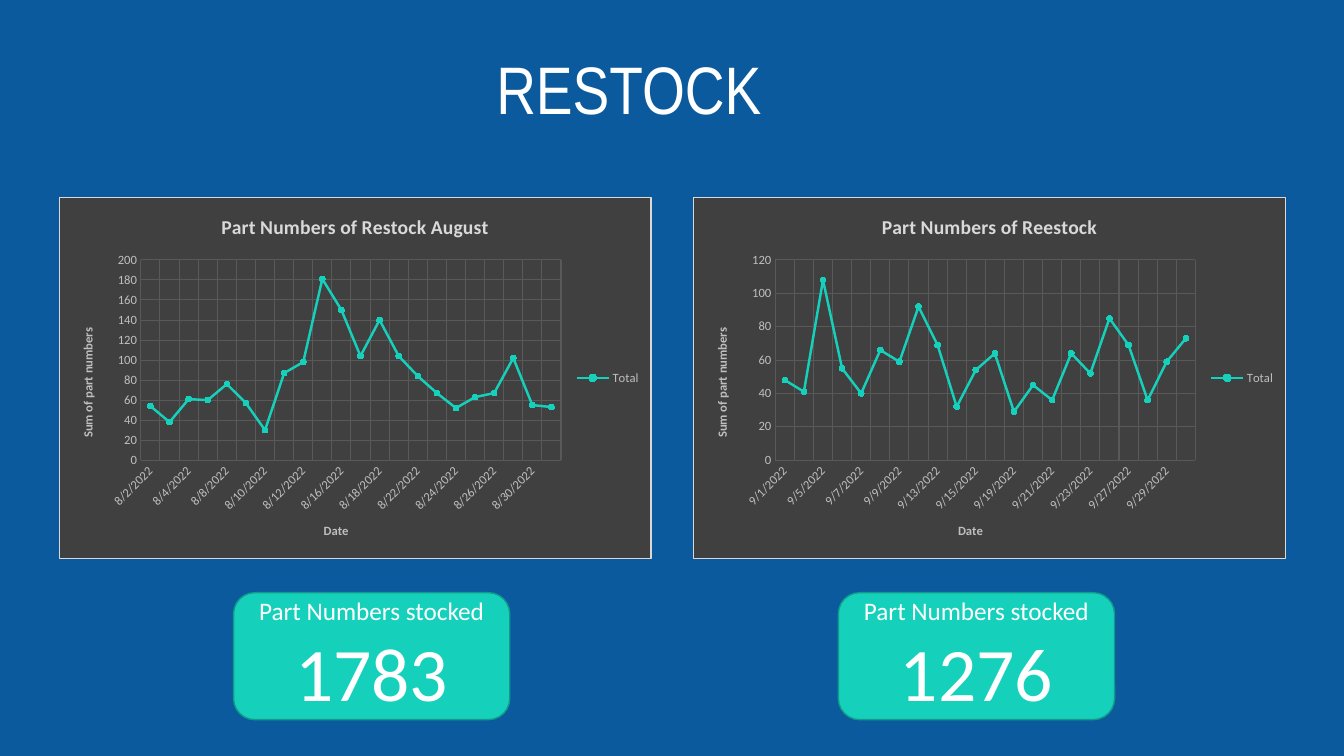
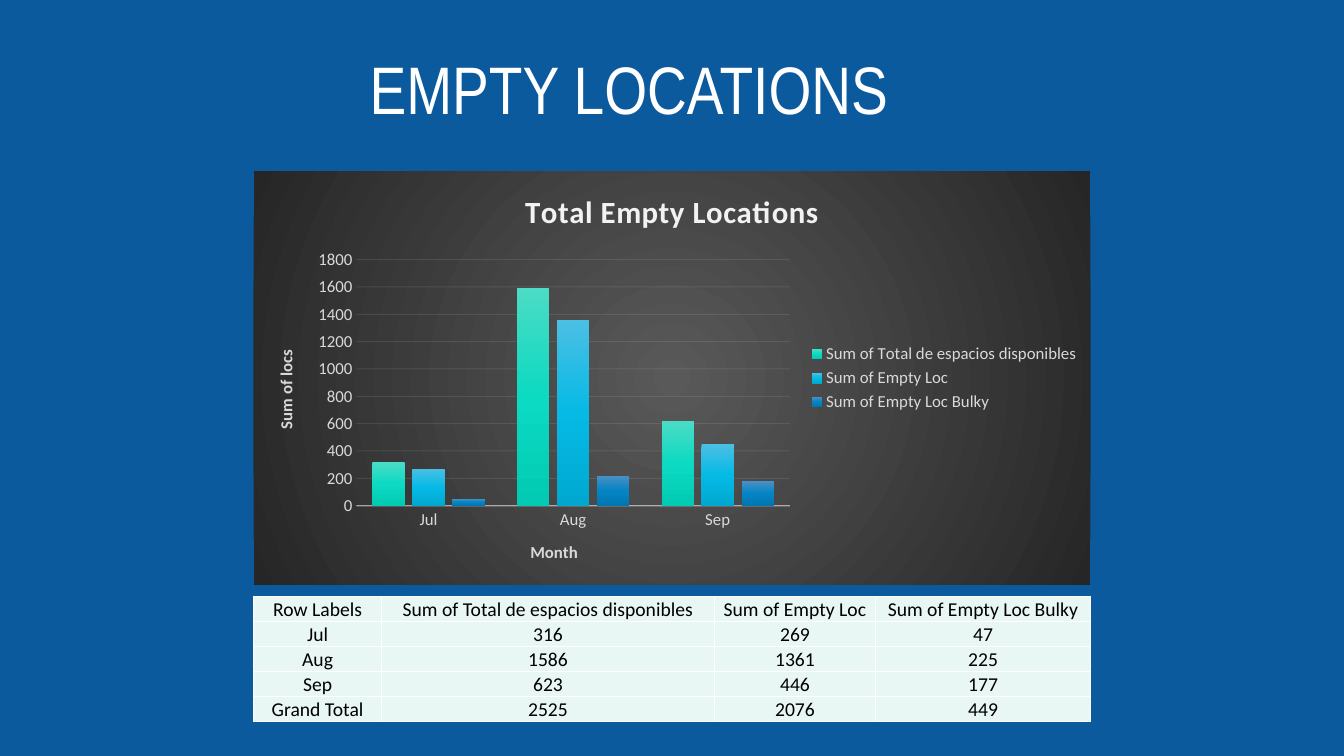
"""Build the restock and empty locations slides."""
from dataclasses import dataclass

from lxml.etree import SubElement
from pptx import Presentation
from pptx.chart.data import CategoryChartData
from pptx.dml.color import RGBColor
from pptx.enum.chart import XL_CHART_TYPE, XL_LEGEND_POSITION, XL_MARKER_STYLE, XL_TICK_MARK
from pptx.enum.shapes import MSO_SHAPE
from pptx.enum.text import MSO_ANCHOR, PP_ALIGN
from pptx.oxml import parse_xml
from pptx.oxml.ns import nsdecls, qn
from pptx.util import Inches, Pt


@dataclass(frozen=True)
class Theme:
    background: str = "0C5A9E"
    white: str = "FFFFFF"
    black: str = "000000"
    accent: str = "15D1BB"
    accent_edge: str = "109B8A"
    panel: str = "404040"
    panel_edge: str = "D9D9D9"
    panel_grid: str = "595959"
    muted: str = "BFBFBF"
    soft: str = "D9D9D9"
    bright: str = "F2F2F2"
    cell: str = "E8F7F3"
    panel_gradient: tuple = ("595959", "262626")
    column_gradients: tuple = (
        ("4CDBC5", "0CDAC2", "02CAB3"),
        ("4CBFE4", "05BAE5", "00A8D0"),
        ("4B90C6", "0484C4", "0076B2"),
    )
    title_font: str = "Arial Narrow"
    body_font: str = "Calibri"
    title_size: int = 48
    figure_size: int = 54
    caption_size: int = 18
    table_size: int = 14
    line_chart_title_size: int = 14
    line_chart_size: int = 9
    column_chart_title_size: int = 22
    column_chart_size: int = 12


THEME = Theme()
SLIDE_WIDTH, SLIDE_HEIGHT = Inches(13.33), Inches(7.5)

AUGUST_DAYS = (2, 3, 4, 5, 8, 9, 10, 11, 12, 15, 16, 17, 18, 19, 22, 23, 24, 25, 26, 29, 30, 31)
AUGUST_PARTS = (54, 38, 61, 60, 76, 57, 30, 87, 98, 181, 150,
                104, 140, 104, 84, 67, 52, 63, 67, 102, 55, 53)
SEPTEMBER_DAYS = (1, 2, 5, 6, 7, 8, 9, 12, 13, 14, 15, 17, 19, 20, 21, 22, 23, 26, 27, 28, 29, 30)
SEPTEMBER_PARTS = (48, 41, 108, 55, 40, 66, 59, 92, 69, 32, 54,
                   64, 29, 45, 36, 64, 52, 85, 69, 36, 59, 73)
RESTOCK_MONTHS = (
    ("Part Numbers of Restock August", 8, AUGUST_DAYS, AUGUST_PARTS, 200, "1783"),
    ("Part Numbers of Reestock", 9, SEPTEMBER_DAYS, SEPTEMBER_PARTS, 120, "1276"),
)
LOCATION_ROWS = (
    ("Row Labels", "Sum of Total de espacios disponibles", "Sum of Empty Loc",
     "Sum of Empty Loc Bulky"),
    ("Jul", 316, 269, 47),
    ("Aug", 1586, 1361, 225),
    ("Sep", 623, 446, 177),
    ("Grand Total", 2525, 2076, 449),
)
LOCATION_COLUMN_WIDTHS = (1.27, 3.3, 1.6, 2.13)


def area(left, top, width, height):
    """Turn percentages of the slide into a position and a size."""
    return (round(SLIDE_WIDTH * left / 100), round(SLIDE_HEIGHT * top / 100),
            round(SLIDE_WIDTH * width / 100), round(SLIDE_HEIGHT * height / 100))


def style_font(font, size, color, bold=False, name=THEME.body_font):
    """Set the face, size, weight and colour of a font."""
    font.name, font.size, font.bold = name, Pt(size), bold
    font.color.rgb = RGBColor.from_string(color)


def style_paragraph(paragraph, *font_style, **font_options):
    """Centre a paragraph and style its runs."""
    paragraph.alignment = PP_ALIGN.CENTER
    for run in paragraph.runs:
        style_font(run.font, *font_style, **font_options)


def style_line(line, color, width, opacity=100):
    """Set the colour, width and opacity of a line."""
    line.color.rgb = RGBColor.from_string(color)
    line.width = Pt(width)
    if opacity < 100:
        for color_element in line._ln.iter(qn("a:srgbClr")):
            SubElement(color_element, qn("a:alpha"), val=str(opacity * 1000))


def solid_fill(color):
    """Return a solid fill element."""
    return parse_xml(f'<a:solidFill {nsdecls("a")}><a:srgbClr val="{color}"/></a:solidFill>')


def gradient_fill(colors, radial=False):
    """Return a gradient fill element with evenly spaced stops."""
    step = 100000 // (len(colors) - 1)
    stops = "".join(f'<a:gs pos="{index * step}"><a:srgbClr val="{color}"/></a:gs>'
                    for index, color in enumerate(colors))
    shading = '<a:lin ang="5400000" scaled="0"/>'
    if radial:
        shading = ('<a:path path="circle"><a:fillToRect l="50000" t="50000" '
                   'r="50000" b="50000"/></a:path>')
    return parse_xml(f'<a:gradFill {nsdecls("a")}><a:gsLst>{stops}</a:gsLst>{shading}</a:gradFill>')


def outline(tag, color=None, width=1):
    """Return a line element, empty of paint when no colour is given."""
    element = parse_xml(f'<a:{tag} {nsdecls("a")} w="{Pt(width)}"/>')
    if color:
        element.append(solid_fill(color))
    else:
        SubElement(element, qn("a:noFill"))
    return element


def add_titled_slide(presentation, title):
    """Add a blank slide with its title."""
    slide = presentation.slides.add_slide(presentation.slide_layouts[6])
    text_frame = slide.shapes.add_textbox(*area(17.4, 4.8, 58.8, 12.9)).text_frame
    text_frame.word_wrap = True
    text_frame.vertical_anchor = MSO_ANCHOR.BOTTOM
    text_frame.margin_left = text_frame.margin_right = 0
    text_frame.text = title
    paragraph = text_frame.paragraphs[0]
    paragraph.line_spacing = 0.9
    style_paragraph(paragraph, THEME.title_size, THEME.white, name=THEME.title_font)
    return slide


def style_panel(chart, fill, line):
    """Paint the background of a chart."""
    properties = parse_xml(f'<c:spPr {nsdecls("c", "a")}/>')
    properties.extend((fill, line))
    chart._chartSpace.find(qn("c:chart")).addnext(properties)


def add_axis_title(axis, text, size, color):
    """Give an axis a bold title and plain labels of the same style."""
    axis.axis_title.text_frame.text = text
    style_paragraph(axis.axis_title.text_frame.paragraphs[0], size, color, bold=True)
    style_font(axis.tick_labels.font, size, color)
    axis.major_tick_mark = axis.minor_tick_mark = XL_TICK_MARK.NONE


def add_titled_chart(slide, position, chart_type, data, title, title_style, axis_titles,
                     label_style, value_limit, value_step):
    """Add a chart with a title, axis titles and a legend."""
    chart = slide.shapes.add_chart(chart_type, *position, data).chart
    style_font(chart.font, 10, THEME.black)
    chart.has_title = True
    chart.chart_title.text_frame.text = title
    chart.chart_title.include_in_layout = False
    style_paragraph(chart.chart_title.text_frame.paragraphs[0], *title_style, bold=True)
    chart.has_legend = True
    chart.legend.position = XL_LEGEND_POSITION.RIGHT
    chart.legend.include_in_layout = False
    style_font(chart.legend.font, *label_style)
    for axis, text in zip((chart.category_axis, chart.value_axis), axis_titles):
        add_axis_title(axis, text, *label_style)
    chart.value_axis.minimum_scale = 0
    chart.value_axis.maximum_scale = value_limit
    chart.value_axis.major_unit = value_step
    chart.value_axis.format.line.fill.background()
    chart.plots[0].vary_by_categories = False
    return chart


def add_restock_chart(slide, position, title, categories, values, value_limit):
    """Add a line chart of the parts restocked each day."""
    data = CategoryChartData()
    data.categories = categories
    data.add_series("Total", values)
    chart = add_titled_chart(
        slide, position, XL_CHART_TYPE.LINE_MARKERS, data, title,
        (THEME.line_chart_title_size, THEME.soft), ("Date", "Sum of part numbers"),
        (THEME.line_chart_size, THEME.muted), value_limit, 20)
    style_panel(chart, solid_fill(THEME.panel), outline("ln", THEME.panel_edge, 0.75))
    chart.category_axis.format.line.fill.background()
    chart.category_axis._element.txPr.bodyPr.set("rot", "-2700000")
    for axis in (chart.category_axis, chart.value_axis):
        axis.has_major_gridlines = True
        style_line(axis.major_gridlines.format.line, THEME.panel_grid, 0.75)
    series = chart.plots[0].series[0]
    series.smooth = False
    style_line(series.format.line, THEME.accent, 1.75)
    series.marker.style = XL_MARKER_STYLE.CIRCLE
    series.marker.size = 4
    series.marker.format.fill.solid()
    series.marker.format.fill.fore_color.rgb = RGBColor.from_string(THEME.accent)
    style_line(series.marker.format.line, THEME.accent, 0.75)


def add_figure_card(slide, position, caption, figure):
    """Add a rounded card with a caption over a large figure."""
    card = slide.shapes.add_shape(MSO_SHAPE.ROUNDED_RECTANGLE, *position)
    card.shadow.inherit = False
    card.fill.solid()
    card.fill.fore_color.rgb = RGBColor.from_string(THEME.accent)
    style_line(card.line, THEME.accent_edge, 1)
    card.text_frame.word_wrap = True
    card.text_frame.vertical_anchor = MSO_ANCHOR.MIDDLE
    card.text_frame.text = f"{caption}\n{figure}"
    for paragraph, size in zip(card.text_frame.paragraphs,
                               (THEME.caption_size, THEME.figure_size)):
        style_paragraph(paragraph, size, THEME.white)


def add_locations_chart(slide, position, rows):
    """Add a column chart of the monthly rows, rounded to tens."""
    header, *months = rows
    data = CategoryChartData()
    data.categories = [month[0] for month in months]
    for column, name in enumerate(header[1:], start=1):
        data.add_series(name, [round(month[column], -1) for month in months])
    chart = add_titled_chart(
        slide, position, XL_CHART_TYPE.COLUMN_CLUSTERED, data, "Total Empty Locations",
        (THEME.column_chart_title_size, THEME.bright), ("Month", "Sum of locs"),
        (THEME.column_chart_size, THEME.soft), 1800, 200)
    style_panel(chart, gradient_fill(THEME.panel_gradient, radial=True), outline("ln"))
    title_run = chart.chart_title.text_frame.paragraphs[0].runs[0]
    title_run.font._element.set("spc", "50")
    style_line(chart.category_axis.format.line, THEME.bright, 1, 54)
    style_line(chart.value_axis.major_gridlines.format.line, THEME.bright, 0.75, 10)
    plot = chart.plots[0]
    plot.gap_width, plot.overlap = 100, -24
    for series, colors in zip(plot.series, THEME.column_gradients):
        series._element.get_or_add_spPr().insert(0, gradient_fill(colors))


def style_cell(cell, text):
    """Fill a table cell with centred text and white borders."""
    cell.text = text
    cell.margin_left = cell.margin_right = cell.margin_top = Inches(0.01)
    cell.margin_bottom = 0
    cell.vertical_anchor = MSO_ANCHOR.BOTTOM
    style_paragraph(cell.text_frame.paragraphs[0], THEME.table_size, THEME.black)
    properties = cell._tc.get_or_add_tcPr()
    for side in ("lnL", "lnR", "lnT", "lnB"):
        properties.append(outline(side, THEME.white))
    cell.fill.solid()
    cell.fill.fore_color.rgb = RGBColor.from_string(THEME.cell)


def add_locations_table(slide, position, rows, widths):
    """Add a table of the rows."""
    table = slide.shapes.add_table(len(rows), len(widths), *position).table
    for column, width in zip(table.columns, widths):
        column.width = Inches(width)
    for row_index, row in enumerate(rows):
        for column_index, value in enumerate(row):
            style_cell(table.cell(row_index, column_index), str(value))


def add_restock_slide(presentation):
    """Add the slide with a chart and a card for each month."""
    slide = add_titled_slide(presentation, "RESTOCK")
    for index, (title, month, days, parts, limit, total) in enumerate(RESTOCK_MONTHS):
        dates = [f"{month}/{day}/2022" for day in days]
        add_restock_chart(slide, area(4.38 + 47.2 * index, 26, 44.1, 48),
                          title, dates, parts, limit)
        add_figure_card(slide, area(17.38 + 45 * index, 78.4, 20.55, 16.8),
                        "Part Numbers stocked", total)


def add_locations_slide(presentation):
    """Add the slide with the column chart above its table."""
    slide = add_titled_slide(presentation, "EMPTY LOCATIONS")
    add_locations_chart(slide, area(18.87, 22.67, 62.26, 54.67), LOCATION_ROWS[:-1])
    add_locations_table(slide, area(18.87, 78.93, 62.26, 16.55),
                        LOCATION_ROWS, LOCATION_COLUMN_WIDTHS)


def main():
    """Build and save the presentation."""
    presentation = Presentation()
    presentation.slide_width, presentation.slide_height = SLIDE_WIDTH, SLIDE_HEIGHT
    background = presentation.slide_master.background.fill
    background.solid()
    background.fore_color.rgb = RGBColor.from_string(THEME.background)
    add_restock_slide(presentation)
    add_locations_slide(presentation)
    presentation.save("out.pptx")


if __name__ == "__main__":
    main()
